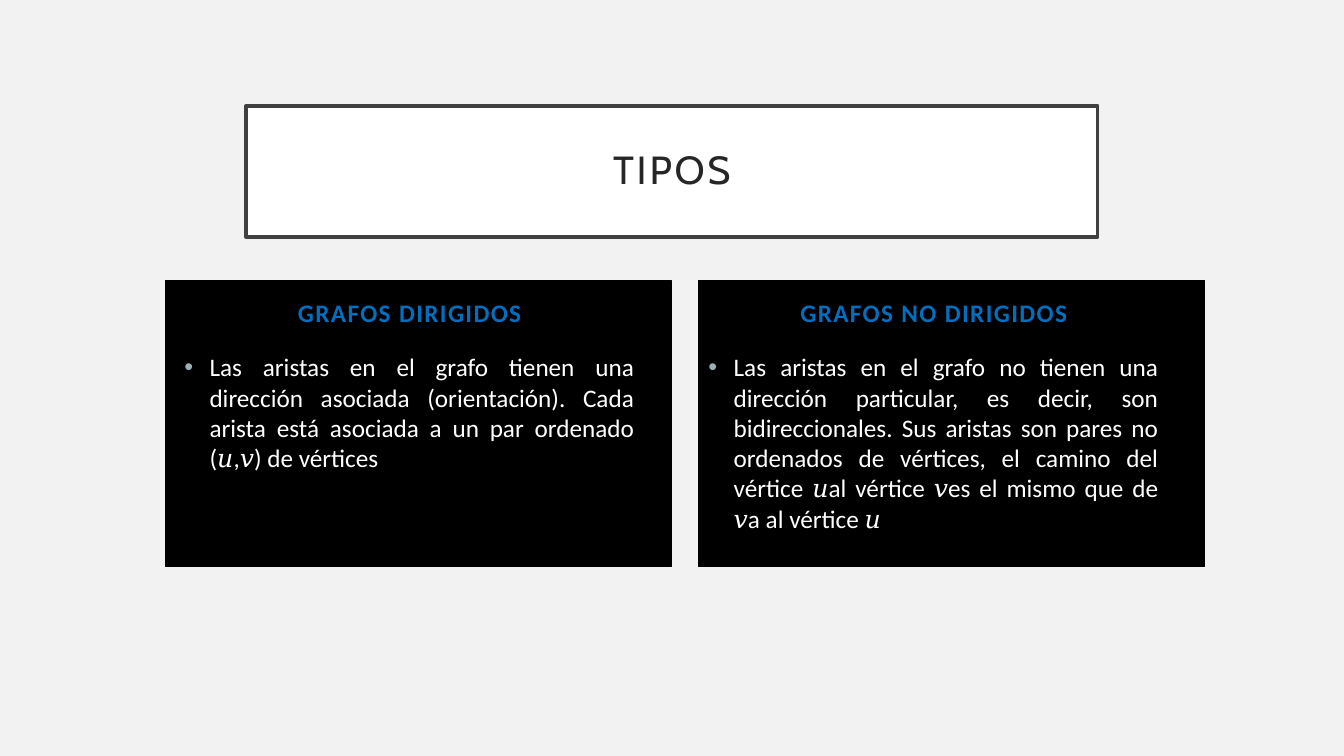
"""Build a slide that compares directed and undirected graphs."""
import pptx
import pptx.dml.color
import pptx.enum.shapes
import pptx.enum.text
import pptx.oxml
import pptx.oxml.ns
import pptx.util
from dataclasses import dataclass

Pt = pptx.util.Pt
ALIGN = pptx.enum.text.PP_ALIGN
ANCHOR = pptx.enum.text.MSO_ANCHOR


@dataclass(frozen=True)
class Theme:
    page: str = "F2F2F2"
    panel: str = "000000"
    heading: str = "006FC0"
    body: str = "FFFFFF"
    bullet: str = "9BAFB5"
    title_fill: str = "FFFFFF"
    title_line: str = "404040"
    title_text: str = "262626"
    title_size: int = 28
    text_size: int = 18
    title_font: str = "Cabin"
    text_font: str = "Calibri"
    math_font: str = "Cambria"


theme = Theme()
rgb = pptx.dml.color.RGBColor.from_string


def add_rectangle(page, bounds, fill, line, width):
    box = page.shapes.add_shape(
        pptx.enum.shapes.MSO_SHAPE.RECTANGLE, *[Pt(value) for value in bounds])
    box.shadow.inherit = False
    box.fill.solid()
    box.fill.fore_color.rgb = rgb(fill)
    box.line.color.rgb = rgb(line)
    box.line.width = Pt(width)
    return box


def write(box, pieces, frame_format, para_format, font_format, color, spacing=0):
    frame = box.text_frame
    for name, value in {"word_wrap": True, **frame_format}.items():
        setattr(frame, name, value)
    para = frame.paragraphs[0]
    for name, value in para_format.items():
        setattr(para, name, value)
    for piece in pieces:
        span = para.add_run()
        span.text = piece
        for name, value in font_format.items():
            setattr(span.font, name, value)
        if piece in ("𝑢", "𝑣"):
            span.font.name = theme.math_font
        span.font.color.rgb = rgb(color)
        if spacing:
            span.font._element.set("spc", str(spacing * 100))
    return para


deck = pptx.Presentation()
deck.slide_width, deck.slide_height = Pt(960), Pt(540)
page = deck.slides.add_slide(deck.slide_layouts[6])
page.background.fill.solid()
page.background.fill.fore_color.rgb = rgb(theme.page)

title = add_rectangle(page, (175.7, 75.6, 608.4, 93.6),
                      theme.title_fill, theme.title_line, 2.5)
sides = ("left", "top", "right", "bottom")
write(title, ["TIPOS"],
      {"vertical_anchor": ANCHOR.MIDDLE,
       **{f"margin_{side}": Pt(14.4) for side in sides}},
      {"alignment": ALIGN.CENTER, "line_spacing": 0.9},
      {"size": Pt(theme.title_size), "name": theme.title_font},
      theme.title_text, spacing=2)

columns = [
    (118.1, 124.6, "GRAFOS DIRIGIDOS",
     ["Las aristas en el grafo tienen una dirección asociada (orientación). "
      "Cada arista está asociada a un par ordenado (",
      "𝑢", ",", "𝑣", ") de vértices"]),
    (499, 499, "GRAFOS NO DIRIGIDOS",
     ["Las aristas en el grafo no tienen una dirección particular, es decir, "
      "son bidireccionales. Sus aristas son pares no ordenados de vértices, "
      "el camino del vértice ",
      "𝑢", "al vértice ", "𝑣", "es el mismo que de ", "𝑣", "a al vértice ", "𝑢"]),
]
text_format = {"size": Pt(theme.text_size), "name": theme.text_font}

for panel_left, text_left, heading, description in columns:
    add_rectangle(page, (panel_left, 200.2, 361.4, 204.5),
                  theme.panel, theme.panel, 1)

    heading_box = page.shapes.add_textbox(Pt(text_left), Pt(182.2), Pt(336.2), Pt(55.4))
    write(heading_box, [heading], {"vertical_anchor": ANCHOR.BOTTOM},
          {"alignment": ALIGN.CENTER, "space_before": Pt(10)},
          {**text_format, "bold": True}, theme.heading, spacing=1)

    body_box = page.shapes.add_textbox(Pt(text_left), Pt(247.7), Pt(335.5), Pt(204.5))
    para = write(body_box, description, {"vertical_anchor": ANCHOR.TOP},
                 {"alignment": ALIGN.JUSTIFY, "space_before": Pt(10)},
                 text_format, theme.body)
    properties = para._p.get_or_add_pPr()
    properties.set("marL", str(Pt(18)))
    properties.set("indent", str(Pt(-18)))
    namespace = pptx.oxml.ns.nsdecls("a")
    for markup in (
            f'<a:buClr {namespace}><a:srgbClr val="{theme.bullet}"/></a:buClr>',
            f'<a:buFont {namespace} typeface="Arial"/>',
            f'<a:buChar {namespace} char="•"/>'):
        properties.append(pptx.oxml.parse_xml(markup))

deck.save("out.pptx")
